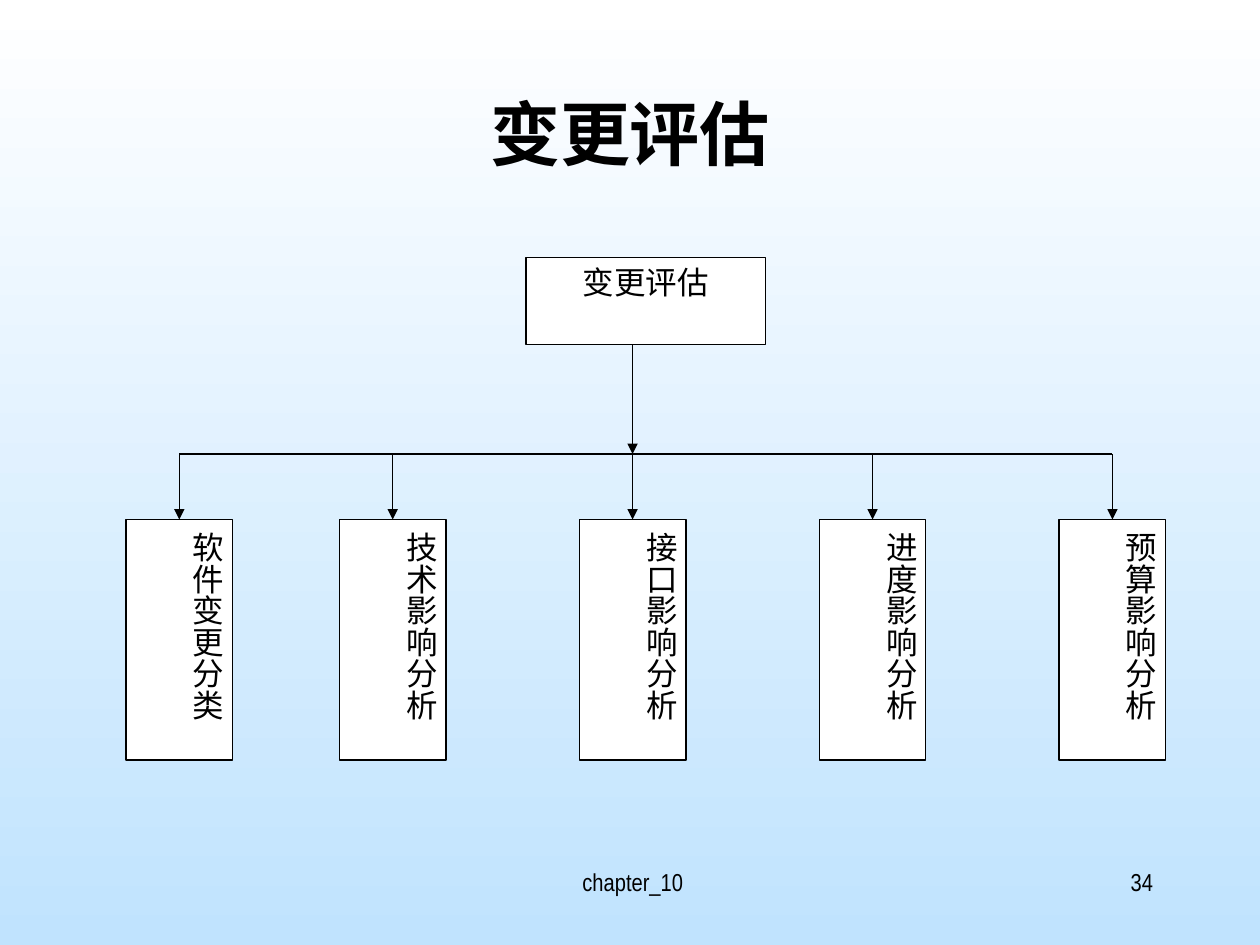
"""Build the change assessment slide with its tree of five analyses."""
from lxml import etree
from pptx import Presentation
from pptx.dml.color import RGBColor
from pptx.enum.shapes import MSO_CONNECTOR, MSO_SHAPE
from pptx.enum.text import MSO_ANCHOR, PP_ALIGN
from pptx.oxml.ns import qn
from pptx.util import Pt

BLACK = RGBColor(0x00, 0x00, 0x00)
WHITE = RGBColor(0xFF, 0xFF, 0xFF)
SKY = RGBColor(0xC0, 0xE3, 0xFE)
RECT, STRAIGHT = MSO_SHAPE.RECTANGLE, MSO_CONNECTOR.STRAIGHT
TOP, CENTER, RIGHT = MSO_ANCHOR.TOP, PP_ALIGN.CENTER, PP_ALIGN.RIGHT
LINE_WIDTH = Pt(0.75)


def add_text(sp, text, size, font, align=CENTER, bold=False):
    tf = sp.text_frame
    tf.word_wrap = True
    tf.vertical_anchor = TOP
    p = tf.paragraphs[0]
    p.alignment = align
    r = p.add_run()
    r.text = text
    r.font.size = Pt(size)
    r.font.name = font
    r.font.bold = bold
    r.font.color.rgb = BLACK


def add_line(x1, y1, x2, y2, arrow=True):
    c = s.shapes.add_connector(STRAIGHT, Pt(x1), Pt(y1), Pt(x2), Pt(y2))
    c.line.color.rgb = BLACK
    c.line.width = LINE_WIDTH
    if arrow:
        etree.SubElement(c.line._get_or_add_ln(), qn("a:tailEnd"), type="triangle")
    etree.SubElement(c._element.spPr, qn("a:effectLst"))
    return c


prs = Presentation()
prs.slide_width, prs.slide_height = Pt(720), Pt(540)
s = prs.slides.add_slide(prs.slide_layouts[6])

fill = s.background.fill
fill.gradient()
fill.gradient_angle = 270
for stop, position, color in zip(fill.gradient_stops, (0, 1), (WHITE, SKY)):
    stop.position = position
    stop.color.rgb = color

for text, x, y, w, h, size, align, bold in (
    (" chapter_10", 246, 492, 228, 36, 14, CENTER, False),
    ("34", 516, 492, 150, 36, 14, RIGHT, False),
    ("变更评估", 54, 48, 612, 90, 40, CENTER, True),
):
    sp = s.shapes.add_textbox(Pt(x), Pt(y), Pt(w), Pt(h))
    add_text(sp, text, size, "Arial Narrow", align, bold)

ROOT_Y, ROOT_H = 147, 50
BUS_Y = 259.4
BOX_Y, BOX_W, BOX_H = 296.9, 61, 137.4
lefts = [72] + [193.9 + 137.1 * i for i in range(4)]
centers = [x + BOX_W / 2 for x in lefts]
analyses = ["软件变更分类", "技术影响分析", "接口影响分析", "进度影响分析", "预算影响分析"]

boxes = []
for text, x, y, w, h in [("变更评估", 300.5, ROOT_Y, 137, ROOT_H)] + [
    (text, x, BOX_Y, BOX_W, BOX_H) for text, x in zip(analyses, lefts)
]:
    sp = s.shapes.add_shape(RECT, Pt(x), Pt(y), Pt(w), Pt(h))
    sp.shadow.inherit = False
    sp.fill.solid()
    sp.fill.fore_color.rgb = WHITE
    sp.line.color.rgb = BLACK
    sp.line.width = LINE_WIDTH
    add_text(sp, text, 18, "Times New Roman")
    boxes.append(sp)

for sp in boxes[1:]:
    tf = sp.text_frame
    tf.margin_left = tf.margin_right = Pt(3.6)
    tf.margin_top = tf.margin_bottom = Pt(7.2)
    tf._txBody.bodyPr.set("vert", "eaVert")

add_line(centers[0], BUS_Y, centers[-1], BUS_Y, arrow=False)
add_line(centers[2], ROOT_Y + ROOT_H, centers[2], BUS_Y)
for x, sp in zip(centers, boxes[1:]):
    add_line(x, BUS_Y, x, BOX_Y).end_connect(sp, 0)

prs.save("out.pptx")
